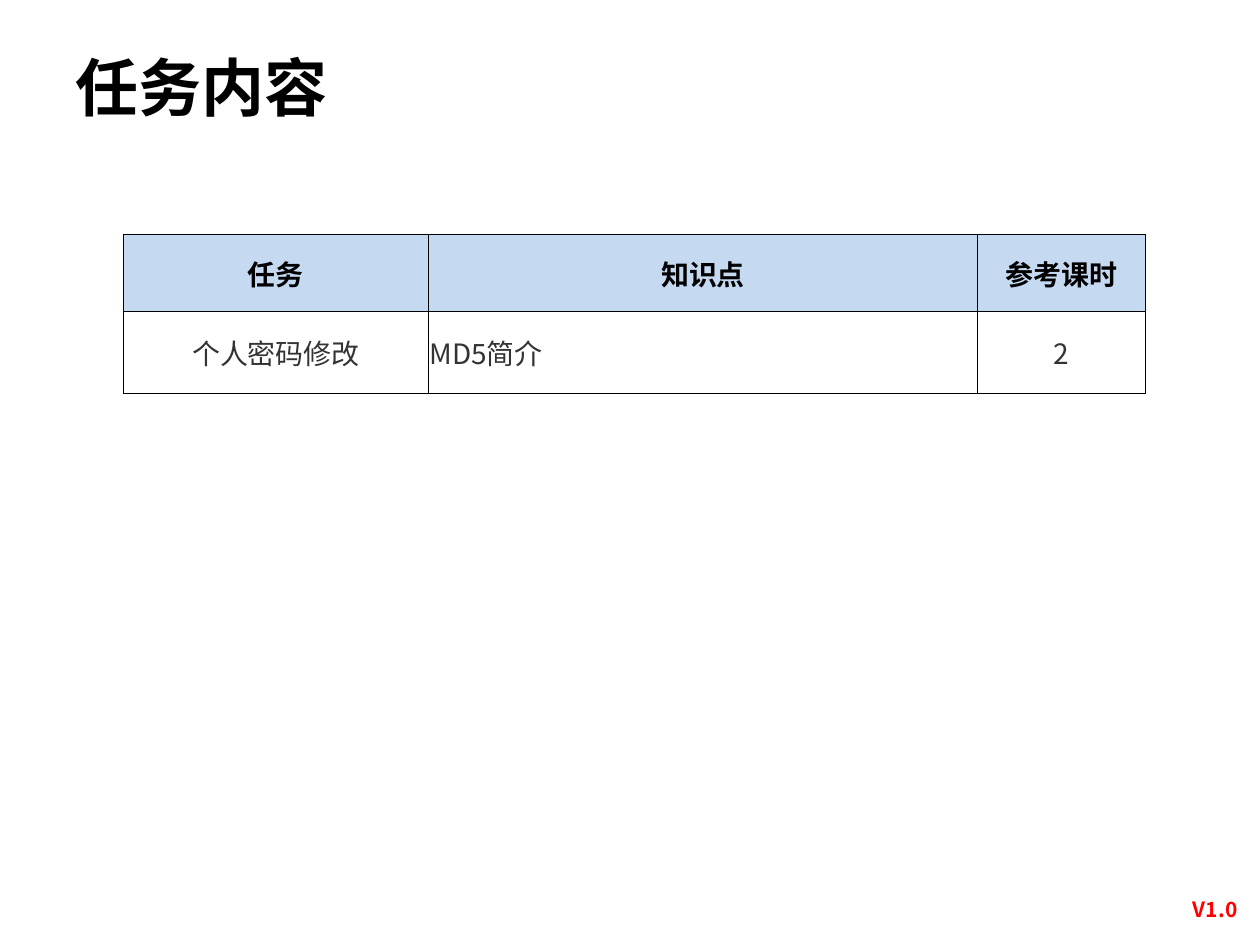
from dataclasses import dataclass

from lxml import etree
from pptx import Presentation
from pptx import util as u
from pptx.dml.color import RGBColor
from pptx.enum import text
from pptx.oxml import ns


@dataclass(frozen=True)
class Theme:
    font: str = "Noto Sans CJK SC"
    ink: str = "000000"
    body: str = "333333"
    accent: str = "FF0000"
    header_fill: str = "C5D9F1"
    row_fill: str = "FFFFFF"
    title_size: int = 36
    table_size: int = 16
    version_size: int = 12
    border: float = 0.5


THEME = Theme()
CENTER = text.PP_ALIGN.CENTER
LEFT = text.PP_ALIGN.LEFT


def write_text(frame, words, size, color=THEME.ink, bold=False, align=LEFT):
    para = frame.paragraphs[0]
    para.alignment = align
    span = para.add_run()
    span.text = words
    span.font.name = THEME.font
    span.font.size = u.Pt(size)
    span.font.bold = bold
    span.font.color.rgb = RGBColor.from_string(color)
    east_asian = etree.SubElement(span.font._element, ns.qn("a:ea"))
    east_asian.set("typeface", THEME.font)


def add_label(page, box, words, anchor=text.MSO_ANCHOR.TOP, **style):
    label = page.shapes.add_textbox(*map(u.Inches, box))
    label.text_frame.word_wrap = True
    label.text_frame.vertical_anchor = anchor
    write_text(label.text_frame, words, **style)


def add_title(page, box):
    add_label(page, box, "任务内容", anchor=text.MSO_ANCHOR.MIDDLE,
              size=THEME.title_size, bold=True)


def add_version(page, box):
    add_label(page, box, "V1.0", size=THEME.version_size,
              color=THEME.accent, bold=True, align=CENTER)


def format_cell(cell, fill):
    cell.vertical_anchor = text.MSO_ANCHOR.MIDDLE
    cell.margin_left = cell.margin_right = cell.margin_top = u.Inches(0.01)
    cell.margin_bottom = 0
    properties = cell._tc.get_or_add_tcPr()
    for side in ("lnL", "lnR", "lnT", "lnB"):
        line = etree.SubElement(properties, ns.qn(f"a:{side}"),
                                w=str(u.Pt(THEME.border)))
        solid = etree.SubElement(line, ns.qn("a:solidFill"))
        etree.SubElement(solid, ns.qn("a:srgbClr"), val=THEME.ink)
    cell.fill.solid()
    cell.fill.fore_color.rgb = RGBColor.from_string(fill)


def add_task_table(page, box):
    rows = [("任务", "知识点", "参考课时"), ("个人密码修改", "MD5简介", "2")]
    widths, heights = (2.42, 4.36, 1.33), (0.61, 0.65)
    table = page.shapes.add_table(len(rows), len(widths),
                                  *map(u.Inches, box)).table
    table.horz_banding = False
    for column, width in zip(table.columns, widths):
        column.width = u.Inches(width)
    for row, height in zip(table.rows, heights):
        row.height = u.Inches(height)
    for row_index, row in enumerate(rows):
        header = row_index == 0
        for column_index, words in enumerate(row):
            cell = table.cell(row_index, column_index)
            format_cell(cell, THEME.header_fill if header else THEME.row_fill)
            write_text(cell.text_frame, words, THEME.table_size,
                       color=THEME.ink if header else THEME.body, bold=header,
                       align=CENTER if header or column_index != 1 else LEFT)


def main():
    deck = Presentation()
    deck.slide_width, deck.slide_height = u.Inches(10), u.Inches(7.5)
    page = deck.slides.add_slide(deck.slide_layouts[6])
    add_version(page, (9.25, 7.07, 0.79, 0.3))
    add_title(page, (0.5, 0.3, 7.97, 0.77))
    add_task_table(page, (0.98, 1.86, 8.11, 1.26))
    deck.save("out.pptx")


if __name__ == "__main__":
    main()
